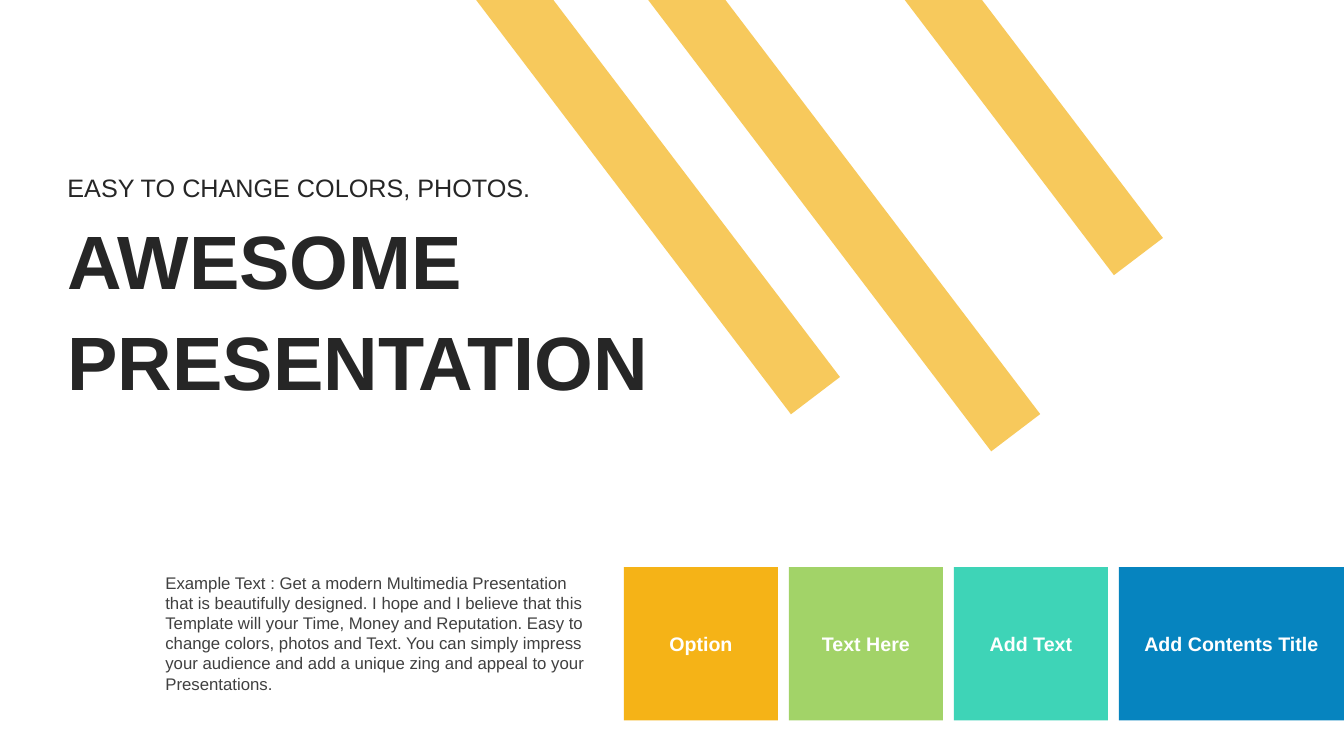
"""Build a cover slide with diagonal stripes and a row of coloured option tiles."""
import dataclasses

import lxml.etree
import pptx
import pptx.dml.color
import pptx.enum.shapes
import pptx.enum.text
import pptx.oxml.ns
import pptx.util

Pt = pptx.util.Pt
ALIGN = pptx.enum.text.PP_ALIGN
ANCHOR = pptx.enum.text.MSO_ANCHOR


@dataclasses.dataclass(frozen=True)
class Theme:
    font: str = "Arial"
    heading: str = "262626"
    body: str = "404040"
    white: str = "FFFFFF"
    amber: str = "F5B317"
    green: str = "A2D368"
    teal: str = "3ED4B7"
    blue: str = "0684BF"
    title_size: int = 54
    subtitle_size: int = 18
    label_size: int = 14
    body_size: int = 12
    stripe_opacity: int = 70


class CoverSlide:
    def __init__(self, slide, theme):
        self.slide = slide
        self.theme = theme

    def set_text(self, shape, text, size, color, bold=False, align=ALIGN.LEFT,
                 anchor=ANCHOR.TOP, line_spacing=None):
        frame = shape.text_frame
        frame.text = text
        frame.word_wrap = True
        frame.auto_size = pptx.enum.text.MSO_AUTO_SIZE.NONE
        frame.vertical_anchor = anchor
        for paragraph in frame.paragraphs:
            paragraph.alignment = align
            paragraph.space_before = Pt(0)
            paragraph.line_spacing = line_spacing
            font = paragraph.font
            font.name = self.theme.font
            font.size = Pt(size)
            font.bold = bold
            font.color.rgb = pptx.dml.color.RGBColor.from_string(color)

    def placeholder(self, index, left, top, width, height, text, size, **style):
        shape = self.slide.placeholders[index]
        shape.left, shape.top = Pt(left), Pt(top)
        shape.width, shape.height = Pt(width), Pt(height)
        self.set_text(shape, text, size, self.theme.heading, **style)

    def text_box(self, left, top, width, height, text):
        shape = self.slide.shapes.add_textbox(Pt(left), Pt(top), Pt(width), Pt(height))
        self.set_text(shape, text, self.theme.body_size, self.theme.body)

    def fill(self, shape, color):
        shape.shadow.inherit = False
        shape.fill.solid()
        shape.fill.fore_color.rgb = pptx.dml.color.RGBColor.from_string(color)
        shape.line.fill.background()

    def tile(self, left, top, width, height, text, color):
        shape = self.slide.shapes.add_shape(
            pptx.enum.shapes.MSO_SHAPE.RECTANGLE, Pt(left), Pt(top), Pt(width), Pt(height))
        self.fill(shape, color)
        self.set_text(shape, text, self.theme.label_size, self.theme.white, bold=True,
                      align=ALIGN.CENTER, anchor=ANCHOR.MIDDLE)

    def stripe(self, tip_x, tip_y, slope=0.76, end_width=35, end_drop=26.6):
        low_x, low_y = tip_x - end_width, tip_y + end_drop
        corners = [(tip_x - slope * tip_y, 0), (tip_x, tip_y),
                   (low_x, low_y), (low_x - slope * low_y, 0)]
        start, *others = [(Pt(x), Pt(y)) for x, y in corners]
        builder = self.slide.shapes.build_freeform(*start)
        builder.add_line_segments(others, close=True)
        shape = builder.convert_to_shape()
        self.fill(shape, self.theme.amber)
        color = next(shape.element.spPr.iter(pptx.oxml.ns.qn("a:srgbClr")))
        alpha = lxml.etree.SubElement(color, pptx.oxml.ns.qn("a:alpha"))
        alpha.set("val", str(self.theme.stripe_opacity * 1000))


def main():
    theme = Theme()
    slide_width = 960
    presentation = pptx.Presentation()
    presentation.slide_width = Pt(slide_width)
    presentation.slide_height = Pt(540)
    cover = CoverSlide(
        presentation.slides.add_slide(presentation.slide_layouts[0]), theme)

    for tip in [(830.7, 170), (600, 269.3), (743, 295.8)]:
        cover.stripe(*tip)

    cover.placeholder(0, 41, 145, 465, 145, "AWESOME\nPRESENTATION", theme.title_size,
                      bold=True, anchor=ANCHOR.MIDDLE, line_spacing=Pt(72))
    cover.placeholder(1, 41, 119.5, 465, 29, "EASY TO CHANGE COLORS, PHOTOS.",
                      theme.subtitle_size)
    cover.text_box(
        111, 405.4, 322.5, 94.3,
        "Example Text : Get a modern Multimedia Presentation that is beautifully "
        "designed. I hope and I believe that this Template will your Time, Money and "
        "Reputation. Easy to change colors, photos and Text. You can simply impress "
        "your audience and add a unique zing and appeal to your Presentations.")

    tiles = [("Option", theme.amber), ("Text Here", theme.green),
             ("Add Text", theme.teal), ("Add Contents Title", theme.blue)]
    first_left, tile_width, gap = 445.7, 110, 7.84
    for index, (label, color) in enumerate(tiles):
        left = first_left + index * (tile_width + gap)
        is_last = index == len(tiles) - 1
        width = slide_width - left if is_last else tile_width
        cover.tile(left, 405, width, 109.5, label, color)

    presentation.save("out.pptx")


if __name__ == "__main__":
    main()
